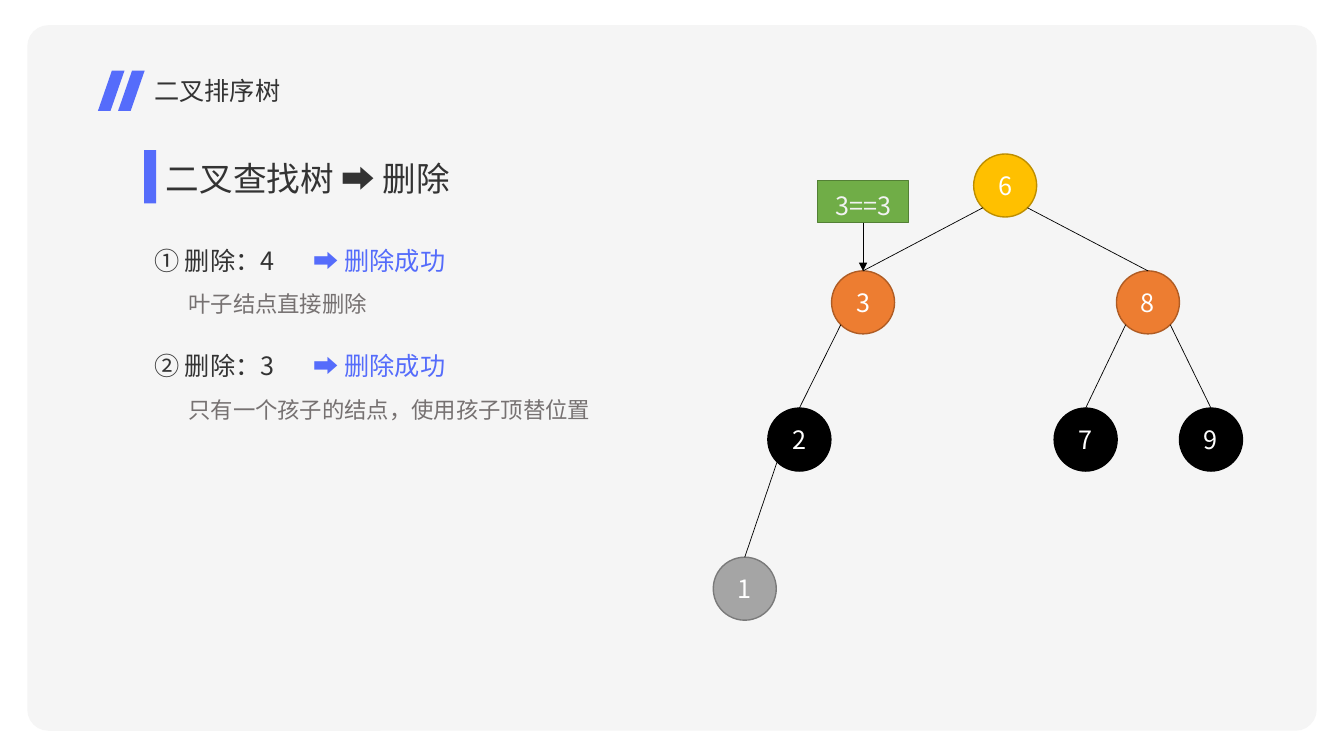
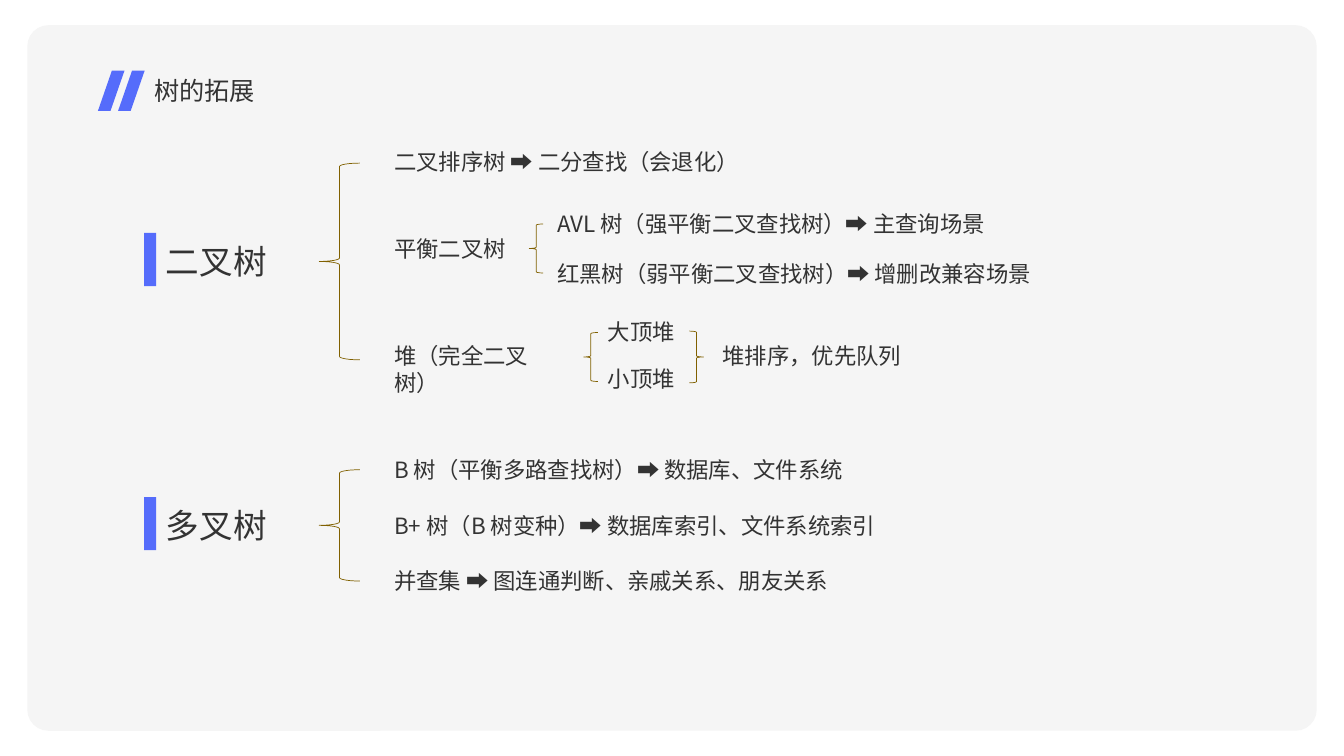
from math import sqrt

from lxml.etree import SubElement
from pptx import Presentation
from pptx.dml.color import RGBColor
from pptx.enum.shapes import MSO_CONNECTOR as Link, MSO_SHAPE as Kind
from pptx.enum.text import MSO_ANCHOR as Anchor, MSO_AUTO_SIZE as Auto, PP_ALIGN as Align
from pptx.oxml.ns import qn
from pptx.util import Pt

FACE = "Noto Sans CJK SC"
INK, BLUE, GRAY, CARD = "333333", "556CFB", "767171", "F5F5F5"
WHITE, BLACK, GOLD = "FFFFFF", "000000", "806000"
LEFT = 103
SIZE = 45  # node diameter
ROOT = ("FFC000", "BD8E00")
MID = ("ED7D31", "AF5C24")
DARK = (BLACK, BLACK)
LOW = ("A5A5A5", "7A7A7A")
GREEN = ("70AD47", "538035")

# value: (centre x, centre y, colours)
NODES = {
    "6": (718, 132.5, ROOT),
    "3": (616.5, 216, MID),
    "8": (820, 216, MID),
    "2": (571, 314, DARK),
    "7": (775.5, 314, DARK),
    "9": (865, 314, DARK),
    "1": (532, 420.5, LOW),
}
EDGES = ["63", "68", "32", "21", "87", "89"]

# order, value, note, note width, top
STEPS = [
    ("①", "4", "叶子结点直接删除", 145, 171.4),
    ("②", "3", "只有一个孩子的结点，使用孩子顶替位置", 307, 247),
]

# left, top, width, text
TOPICS = [
    (274.5, 102.5, 289, "二叉排序树 ➡ 二分查找（会退化）"),
    (274.5, 164.5, 104, "平衡二叉树"),
    (391, 146.8, 401, "AVL 树（强平衡二叉查找树）➡ 主查询场景"),
    (391, 182.3, 401, "红黑树（弱平衡二叉查找树）➡ 增删改兼容场景"),
    (274.5, 240.7, 134, "堆（完全二叉树）"),
    (427, 223.7, 73, "大顶堆"),
    (427, 257.3, 73, "小顶堆"),
    (509, 240.7, 198, "堆排序，优先队列"),
    (274.5, 322, 552, "B 树（平衡多路查找树）➡ 数据库、文件系统"),
    (274.5, 361.9, 552, "B+ 树（B 树变种）➡ 数据库索引、文件系统索引"),
    (274.5, 401.8, 348, "并查集 ➡ 图连通判断、亲戚关系、朋友关系"),
]

# kind, left, top, width, height
BRACES = [
    (Kind.LEFT_BRACE, 228, 116.5, 29, 140.5),
    (Kind.LEFT_BRACE, 378, 160, 10, 35),
    (Kind.LEFT_BRACE, 417, 237.5, 10, 35),
    (Kind.RIGHT_BRACE, 492.5, 236.5, 10, 37),
    (Kind.LEFT_BRACE, 228, 335.5, 29, 79.5),
]


def rgb(code):
    return RGBColor.from_string(code)


def write(frame, text, size, color, align=Align.LEFT):
    frame.text = text
    para = frame.paragraphs[0]
    para.alignment = align
    font = para.font
    font.size, font.name, font.bold = Pt(size), FACE, False
    font.color.rgb = rgb(color)
    props = para._p.get_or_add_pPr().find(qn("a:defRPr"))
    SubElement(props, qn("a:ea")).set("typeface", FACE)


def paint(shape, fill=None, line=None, width=1):
    """Set fill and outline; None means there is none."""
    shape.shadow.inherit = False
    if fill:
        shape.fill.solid()
        shape.fill.fore_color.rgb = rgb(fill)
    else:
        shape.fill.background()
    if line:
        shape.line.color.rgb = rgb(line)
        shape.line.width = Pt(width)
    else:
        shape.line.fill.background()


def form(slide, kind, x, y, w, h, *style):
    shape = slide.shapes.add_shape(kind, Pt(x), Pt(y), Pt(w), Pt(h))
    paint(shape, *style)
    return shape


def label(slide, x, y, w, text, size=16, color=INK):
    box = slide.shapes.add_textbox(Pt(x), Pt(y), Pt(w), Pt(size * 1.25 + 7))
    box.text_frame.word_wrap = True
    write(box.text_frame, text, size, color)


def slash(slide, x):
    top, low = Pt(50.4), Pt(79.2)
    build = slide.shapes.build_freeform(Pt(x + 10), top)
    build.add_line_segments([(Pt(x + 19), top), (Pt(x + 9), low), (Pt(x), low)])
    shape = build.convert_to_shape()
    paint(shape, BLUE)
    return shape


def dress(layout, slide):
    """Draw the card and slashes on the slide, then move them to the layout."""
    card = form(slide, Kind.ROUNDED_RECTANGLE, 19.5, 18, 921, 504, CARD)
    card.adjustments[0] = 0.03
    parts = [card, slash(slide, 70), slash(slide, 84.4)]
    for num, part in enumerate(parts, 101):
        part.element.nvSpPr.cNvPr.set("id", str(num))
        layout.shapes.element.append(part.element)


def head(slide, text):
    title = slide.shapes.title
    title.left, title.top = Pt(LEFT), Pt(50.4)
    title.width, title.height = Pt(275), Pt(29)
    frame = title.text_frame
    frame.auto_size = Auto.NONE
    frame.vertical_anchor = Anchor.TOP
    write(frame, text, 18, INK)


def topic(slide, y, w, text):
    """Add a large heading with a blue bar at its left."""
    form(slide, Kind.RECTANGLE, LEFT, y, 8.6, 38, BLUE)
    label(slide, LEFT + 8.4, y + 1.8, w, text, 24)


def node(slide, text, x, y, colors):
    half = SIZE / 2
    shape = form(slide, Kind.OVAL, x - half, y - half, SIZE, SIZE, *colors)
    frame = shape.text_frame
    frame.vertical_anchor = Anchor.MIDDLE
    write(frame, text, 18, WHITE, Align.CENTER)
    return shape


def link(slide, x, y, child):
    """Run a thin line from a point to the top of a node."""
    line = slide.shapes.add_connector(Link.STRAIGHT, Pt(x), Pt(y), Pt(x), Pt(y))
    line.end_connect(child, 0)
    line.line.color.rgb = rgb(BLACK)
    line.line.width = Pt(0.5)
    SubElement(line.element.spPr, qn("a:effectLst"))
    return line


def tree(slide):
    shapes = {key: node(slide, key, *spot) for key, spot in NODES.items()}
    reach = SIZE / 2 / sqrt(2)
    for up, down in EDGES:
        x, y, _ = NODES[up]
        side = reach if NODES[down][0] > x else -reach
        link(slide, x + side, y + reach, shapes[down])
    return shapes


def check(slide, text, child, x):
    """Add a comparison box with an arrow down to a node."""
    box = form(slide, Kind.RECTANGLE, x - 32.5, 129, 65, 30, *GREEN)
    frame = box.text_frame
    frame.vertical_anchor = Anchor.TOP
    frame.margin_top, frame.margin_bottom = Pt(7), 0
    write(frame, text, 18, "F2F2F2", Align.CENTER)
    arrow = link(slide, x, 159, child)
    arrow.begin_connect(box, 2)
    SubElement(arrow.line._get_or_add_ln(), qn("a:tailEnd")).set("type", "triangle")


def delete(slide):
    head(slide, "二叉排序树")
    topic(slide, 107.2, 293, "二叉查找树 ➡ 删除")
    for mark, value, note, width, y in STEPS:
        label(slide, LEFT, y, 114, f"{mark} 删除：{value}", 18)
        label(slide, 217, y, 145, "➡ 删除成功", 18, BLUE)
        label(slide, 127.5, y + 32.4, width, note, 16, GRAY)
    shapes = tree(slide)
    check(slide, "3==3", shapes["3"], NODES["3"][0])


def extend(slide):
    head(slide, "树的拓展")
    topic(slide, 166.4, 90, "二叉树")
    topic(slide, 355, 90, "多叉树")
    for brace in BRACES:
        form(slide, *brace, None, GOLD, 0.5)
    for row in TOPICS:
        label(slide, *row)


def main():
    deck = Presentation()
    deck.slide_width, deck.slide_height = Pt(960), Pt(540)
    layout = deck.slide_layouts[5]
    first, second = [deck.slides.add_slide(layout) for _ in range(2)]
    dress(layout, first)
    delete(first)
    extend(second)
    deck.save("out.pptx")


if __name__ == "__main__":
    main()
